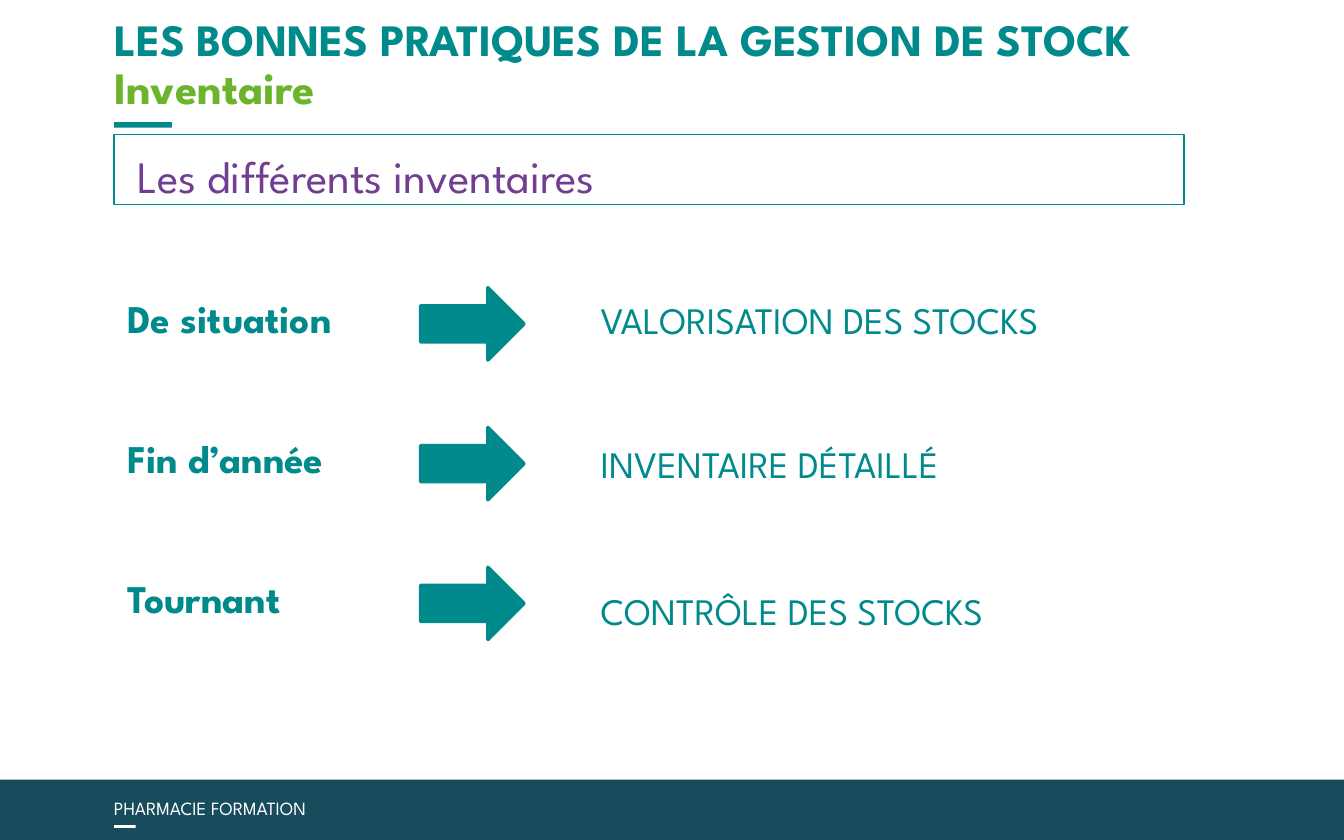
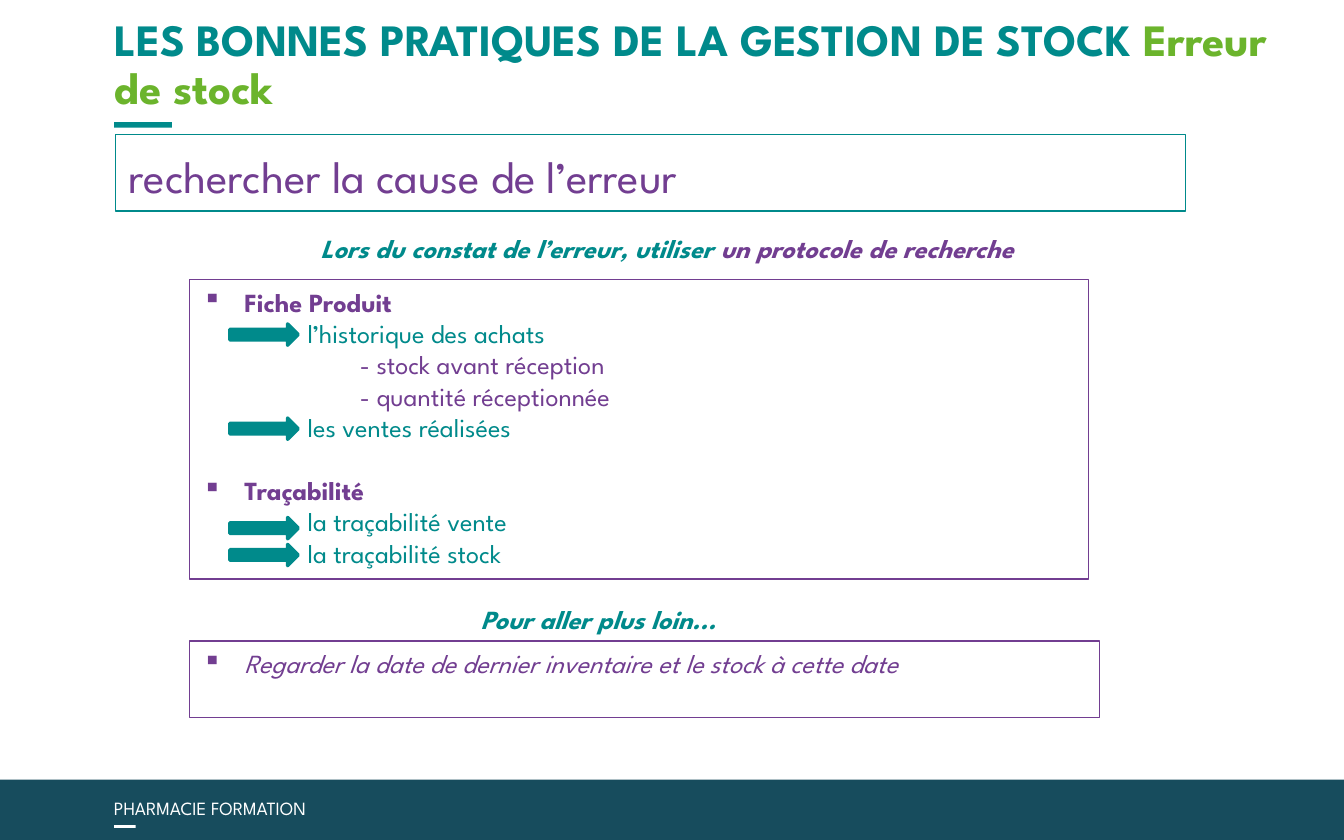
from lxml import etree
from pptx import Presentation
from pptx.dml.color import RGBColor
from pptx.enum.shapes import MSO_SHAPE as Shape
from pptx.enum.text import MSO_ANCHOR as Anchor, PP_ALIGN as Align
from pptx.oxml.ns import qn
from pptx.util import Inches, Pt

FONT = "League Spartan"
TEAL = RGBColor(0x00, 0x8A, 0x8B)
GREEN = RGBColor(0x6B, 0xB4, 0x2C)
PURPLE = RGBColor(0x72, 0x3E, 0x91)
NAVY = RGBColor(0x17, 0x4C, 0x5D)
WHITE = RGBColor(0xFF, 0xFF, 0xFF)

LEFT = 0.85
INSET = (0.1, 0.05, 0.1, 0.05)
TITLE = "LES BONNES PRATIQUES DE LA GESTION DE STOCK"
FOOTER = "PHARMACIE FORMATION"

# label, result, top of the result
INVENTORIES = [
    ("De situation", "VALORISATION DES STOCKS", 2.16),
    ("Fin d’année", "INVENTAIRE DÉTAILLÉ", 3.23),
    ("Tournant", "CONTRÔLE DES STOCKS", 4.33),
]
ROW_TOP, ROW_PITCH = 2.14, 1.04

# level, text
SEARCH_STEPS = [
    ("topic", "Fiche Produit"),
    ("step", "l’historique des achats"),
    ("detail", "- stock avant réception"),
    ("detail", "- quantité réceptionnée"),
    ("step", "les ventes réalisées"),
    ("topic", "Traçabilité"),
    ("step", "la traçabilité vente"),
    ("step", "la traçabilité stock"),
]
LEVELS = {
    "topic": dict(color=PURPLE, bold=True),
    "step": dict(color=TEAL, indent=0.78),
    "detail": dict(color=PURPLE, indent=1.17),
}
STEP_ARROW_TOPS = [2.41, 3.11, 3.85, 4.05]
FURTHER = "Regarder la date de dernier inventaire et le stock à cette date"
BULLET_INDENT = 0.31
BLANK_LINE = 16.8


def add_span(para, text, size, color, **font_format):
    span = para.add_run()
    span.text = text
    values = {"name": FONT, "size": Pt(size), **font_format}
    for name, value in values.items():
        setattr(span.font, name, value)
    span.font.color.rgb = color


def set_indent(para, left, bullet=False):
    props = para._p.get_or_add_pPr()
    props.set("marL", str(Inches(left)))
    props.set("indent", str(-Inches(left) if bullet else 0))
    if bullet:
        etree.SubElement(props, qn("a:buChar")).set("char", "▪")


def prepare_frame(box, inset=INSET, anchor=Anchor.TOP):
    frame = box.text_frame
    frame.word_wrap = True
    frame.vertical_anchor = anchor
    for side, value in zip(("left", "top", "right", "bottom"), inset):
        setattr(frame, f"margin_{side}", Inches(value))
    para = frame.paragraphs[0]
    para.alignment = Align.LEFT
    return para


def add_text(page, place, spans, size, align=Align.LEFT, **frame_format):
    """Add a one-paragraph text box; spans hold (text, color, font format)."""
    box = page.shapes.add_textbox(*map(Inches, place))
    para = prepare_frame(box, **frame_format)
    para.alignment = align
    for text, color, font_format in spans:
        add_span(para, text, size, color, **font_format)
    return para


def add_block(page, place, fill=None, line=None, width=0.75, kind=Shape.RECTANGLE):
    block = page.shapes.add_shape(kind, *map(Inches, place))
    block.shadow.inherit = False
    if fill is None:
        block.fill.background()
    else:
        block.fill.solid()
        block.fill.fore_color.rgb = fill
    if line is None:
        block.line.fill.background()
    else:
        block.line.color.rgb = line
        block.line.width = Pt(width)
    return block


def add_arrow(page, *place):
    add_block(page, place, TEAL, TEAL, 1.75, Shape.RIGHT_ARROW)


def add_page(deck, subtitle, separator, heading, heading_place, heading_inset=INSET):
    """Add a page with the shared title, rule, heading frame and footer band."""
    page = deck.slides.add_slide(deck.slide_layouts[6])
    add_block(page, (LEFT, 0.91, 0.43, 0.04), TEAL)
    add_block(page, (0, 5.8, 10, 0.45), NAVY)
    add_block(page, (LEFT, 6.14, 0.16, 0.02), WHITE)
    add_text(page, (0.75, 5.88, 2.5, 0.27), [(FOOTER, WHITE, {})], 10)

    frame = add_block(page, heading_place, line=TEAL)
    para = prepare_frame(frame, heading_inset)
    para.line_spacing = 1.15
    add_span(para, heading, 24, PURPLE)

    bold = {"bold": True}
    title = add_text(page, (LEFT, 0.1, 8.68, 0.75), [], 24,
                     inset=(0, 0, 0, 0), anchor=Anchor.BOTTOM)
    title.line_spacing = 0.9
    add_span(title, TITLE + separator, 24, TEAL, **bold)
    if not separator:
        title.add_line_break()
    add_span(title, subtitle, 24, GREEN, **bold)
    return page


def build_inventories(deck):
    page = add_page(deck, "Inventaire", "", "Les différents inventaires",
                    (LEFT, 1, 7.96, 0.52), (0.17, 0.05, 0.1, 0.05))
    for row, (label, result, result_top) in enumerate(INVENTORIES):
        top = ROW_TOP + row * ROW_PITCH
        add_text(page, (LEFT, top, 2.19, 0.45), [(label, TEAL, {"bold": True})], 21)
        add_arrow(page, 3.13, top, 0.77, 0.54)
        add_text(page, (4.37, result_top, 4.33, 0.44), [(result, TEAL, {})], 20)


def build_error_search(deck):
    page = add_page(deck, "Erreur de stock", " ", "rechercher la cause de l’erreur",
                    (0.86, 1, 7.96, 0.57))
    strong = {"bold": True, "italic": True}
    add_text(page, (LEFT, 1.68, 8.23, 0.34),
             [("Lors du constat de l’erreur, utiliser ", TEAL, strong),
              ("un protocole de recherche", PURPLE, strong)], 14, Align.CENTER)

    steps_box = add_block(page, (1.41, 2.08, 6.69, 2.23), line=PURPLE)
    para = prepare_frame(steps_box)
    for number, (level, text) in enumerate(SEARCH_STEPS):
        if number:
            para = steps_box.text_frame.add_paragraph()
            para.alignment = Align.LEFT
        style = dict(LEVELS[level])
        is_topic = level == "topic"
        if is_topic and number:
            para.space_before = Pt(BLANK_LINE)
        set_indent(para, style.pop("indent", BULLET_INDENT), bullet=is_topic)
        add_span(para, text, 14, **style)
    for top in STEP_ARROW_TOPS:
        add_arrow(page, 1.71, top, 0.51, 0.16)

    add_text(page, (0.34, 4.44, 8.23, 0.34),
             [("Pour aller plus loin...", TEAL, strong)], 14, Align.CENTER)
    further_box = add_block(page, (1.41, 4.77, 6.77, 0.57), line=PURPLE)
    para = prepare_frame(further_box)
    set_indent(para, BULLET_INDENT, bullet=True)
    add_span(para, FURTHER, 14, PURPLE, italic=True)


def main():
    deck = Presentation()
    deck.slide_width, deck.slide_height = Inches(10), Inches(6.25)
    build_inventories(deck)
    build_error_search(deck)
    deck.save("out.pptx")


if __name__ == "__main__":
    main()
